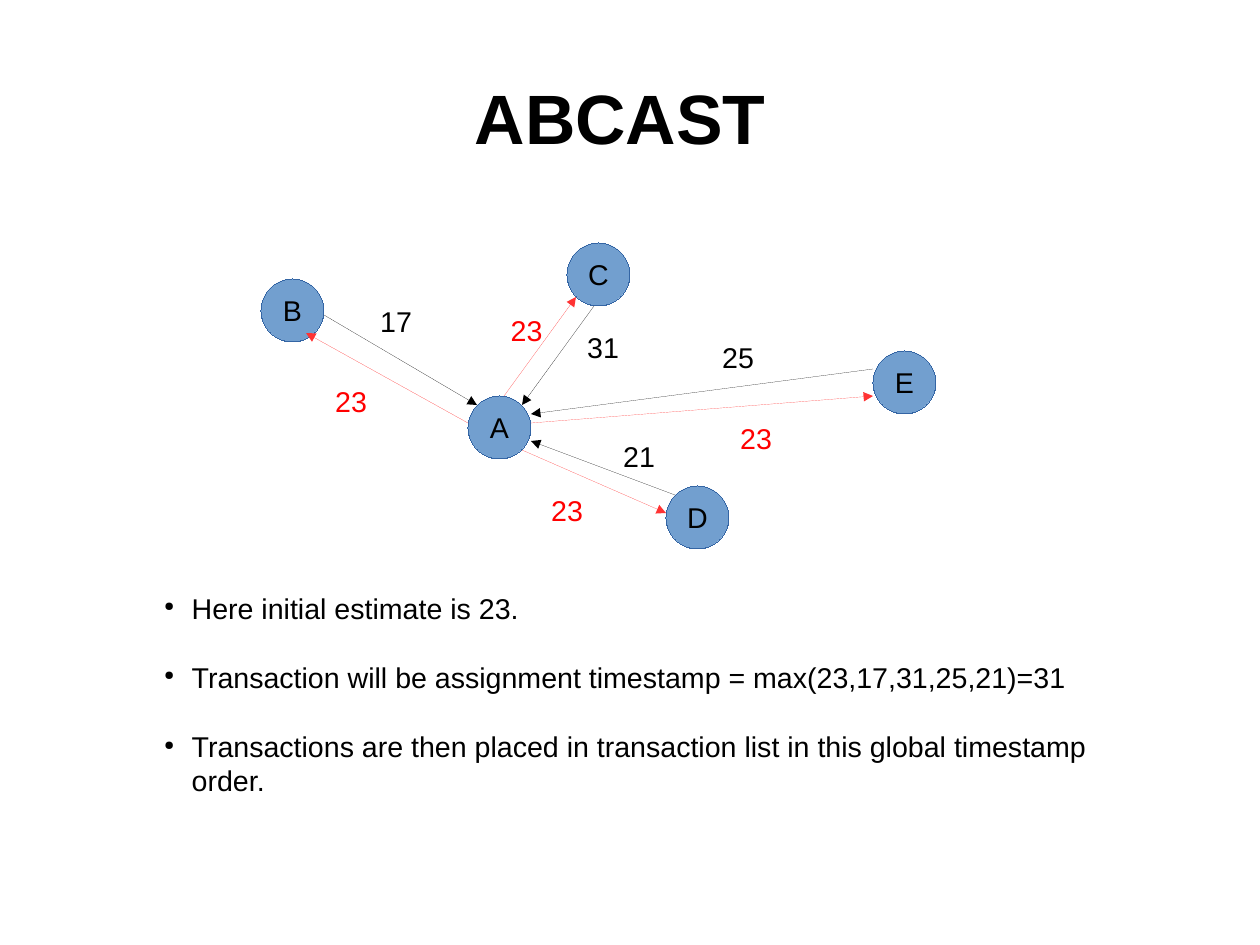
import pptx
import pptx.util
import pptx.dml.color
import pptx.enum.shapes
import pptx.enum.text
import pptx.oxml
import pptx.oxml.ns
from dataclasses import dataclass

ALIGN = pptx.enum.text.PP_ALIGN
ANCHOR = pptx.enum.text.MSO_ANCHOR
CELL = pptx.util.Mm(2)  # the slide is a grid of 140 columns by 105 rows


@dataclass(frozen=True)
class Theme:
    font: str = "Arial"
    title_size: int = 44
    body_size: int = 18
    bullet_gap: int = 22
    ink: str = "000000"
    node_fill: str = "729FCF"
    node_line: str = "3465A4"
    sent_arrow: str = "FF3333"
    sent_text: str = "FF0000"


def cells(*counts):
    return [pptx.util.Emu(round(count * CELL)) for count in counts]


def color(code):
    return pptx.dml.color.RGBColor.from_string(code)


def append_xml(parent, name, **attributes):
    element = pptx.oxml.parse_xml(f"<a:{name} {pptx.oxml.ns.nsdecls('a')}/>")
    for key, value in attributes.items():
        element.set(key, value)
    parent.append(element)


def apply_format(target, values):
    for name, value in values.items():
        setattr(target, name, value)


class DiagramSlide:
    def __init__(self, presentation, theme):
        self.theme = theme
        self.slide = presentation.slides.add_slide(presentation.slide_layouts[6])

    def fill_text(self, shape, lines, ink=None, size=None, bold=False,
                  align=ALIGN.LEFT, **frame_format):
        frame = shape.text_frame
        apply_format(frame, {"word_wrap": True, **frame_format})
        frame.text = "\n".join(lines)
        for paragraph in frame.paragraphs:
            paragraph.alignment = align
            font = paragraph.runs[0].font
            apply_format(font, {
                "name": self.theme.font,
                "size": pptx.util.Pt(size or self.theme.body_size),
                "bold": bold,
            })
            font.color.rgb = color(ink or self.theme.ink)
        return frame.paragraphs

    def text(self, box, lines, **text_format):
        shape = self.slide.shapes.add_textbox(*cells(*box))
        return self.fill_text(shape, lines, **text_format)

    def title(self, box, words):
        margins = dict.fromkeys(
            ("margin_left", "margin_top", "margin_right", "margin_bottom"), 0)
        self.text(box, [words], size=self.theme.title_size, bold=True,
                  align=ALIGN.CENTER, vertical_anchor=ANCHOR.MIDDLE, **margins)

    def node(self, name, column, row, diameter=7):
        shape = self.slide.shapes.add_shape(
            pptx.enum.shapes.MSO_SHAPE.OVAL, *cells(column, row, diameter, diameter))
        self.drop_style(shape)
        shape.shadow.inherit = False
        shape.fill.solid()
        shape.fill.fore_color.rgb = color(self.theme.node_fill)
        shape.line.color.rgb = color(self.theme.node_line)
        self.fill_text(shape, [name], align=ALIGN.CENTER, word_wrap=False,
                       vertical_anchor=ANCHOR.MIDDLE)

    def arrow(self, start, end, ink):
        connector = self.slide.shapes.add_connector(
            pptx.enum.shapes.MSO_CONNECTOR.STRAIGHT, *cells(*start, *end))
        self.drop_style(connector)
        connector.line.color.rgb = color(ink)
        properties = connector._element.spPr
        append_xml(properties.get_or_add_ln(), "tailEnd", type="triangle")
        append_xml(properties, "effectLst")

    def bullets(self, box, lines):
        indent = pptx.util.Inches(0.24)
        for paragraph in self.text(box, lines):
            paragraph.space_after = pptx.util.Pt(self.theme.bullet_gap)
            properties = paragraph._p.get_or_add_pPr()
            properties.set("marL", str(int(indent)))
            properties.set("indent", str(-int(indent)))
            append_xml(properties, "buSzPct", val="45000")
            append_xml(properties, "buChar", char="●")

    @staticmethod
    def drop_style(shape):
        """Leave the outline at hairline width, free of theme effects."""
        for style in shape._element.findall(pptx.oxml.ns.qn("p:style")):
            shape._element.remove(style)


presentation = pptx.Presentation()
presentation.slide_width, presentation.slide_height = cells(140, 105)
theme = Theme()
page = DiagramSlide(presentation, theme)

page.title((7, 4.2, 126, 17.5), "ABCAST ")

# Processes
NODES = {"A": (52, 44), "B": (29, 31), "C": (63, 27), "E": (97, 39), "D": (74, 54)}
for name, place in NODES.items():
    page.node(name, *place)

# Messages: start, end, timestamp, label place
SENT = [
    ((52, 47), (34, 37), "23", (36, 42)),
    ((56, 44), (64, 33), "23", (55.5, 34.2)),
    ((58, 50), (74, 57), "23", (60, 54.2)),
    ((59, 47), (97, 44), "23", (81, 46.2)),
]
REPLIES = [
    ((66, 34), (58, 45), "31", (64, 36)),
    ((36, 35), (53, 45), "17", (41, 33.2)),
    ((75, 55), (59, 49), "21", (68, 48.2)),
    ((97, 41), (59, 46), "25", (79, 37.2)),
]
for messages, arrow_ink, text_ink in (
    (SENT, theme.sent_arrow, theme.sent_text),
    (REPLIES, theme.ink, theme.ink),
):
    for start, end, timestamp, place in messages:
        page.arrow(start, end, arrow_ink)
        page.text((*place, 8, 4.8), [timestamp], ink=text_ink)

# Explanation
page.bullets((17, 65, 106, 27.5), [
    "Here initial estimate is 23.",
    "Transaction will be assignment timestamp = max(23,17,31,25,21)=31",
    "Transactions are then placed in transaction list in this global timestamp order.",
])

presentation.save("out.pptx")
